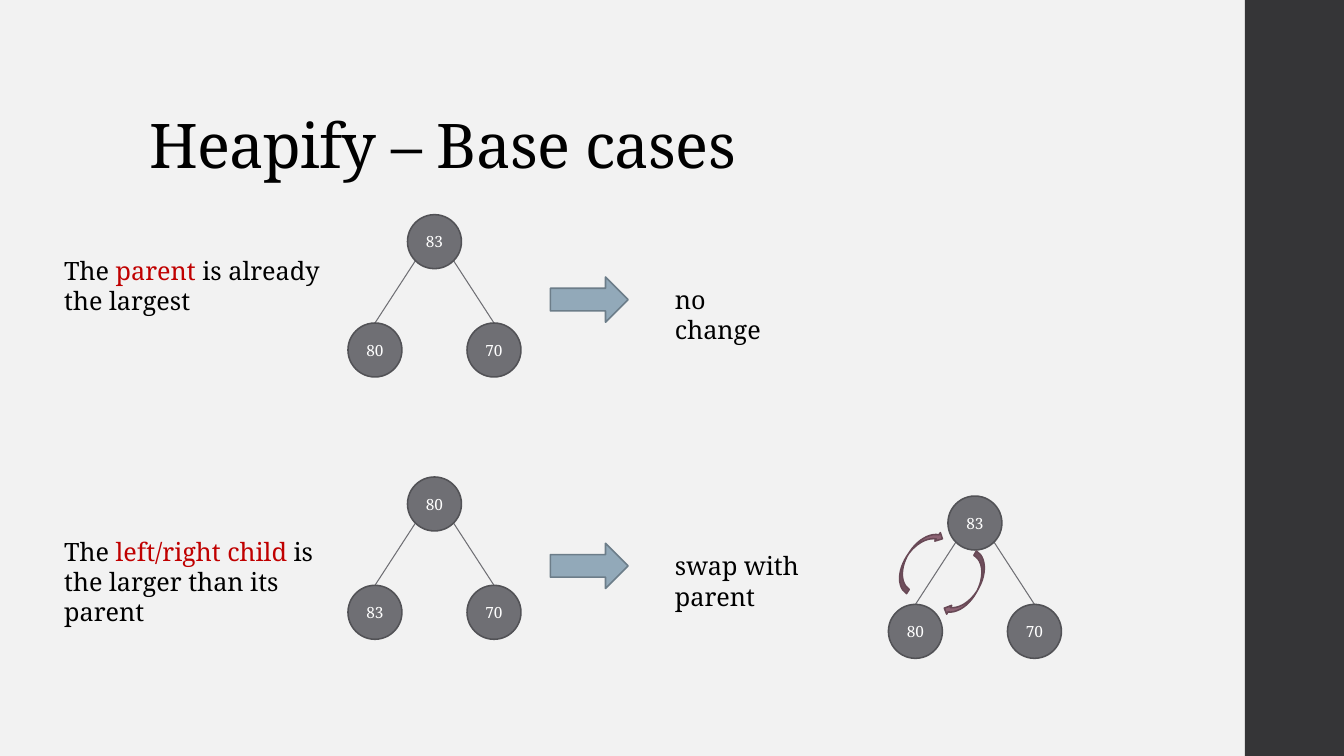
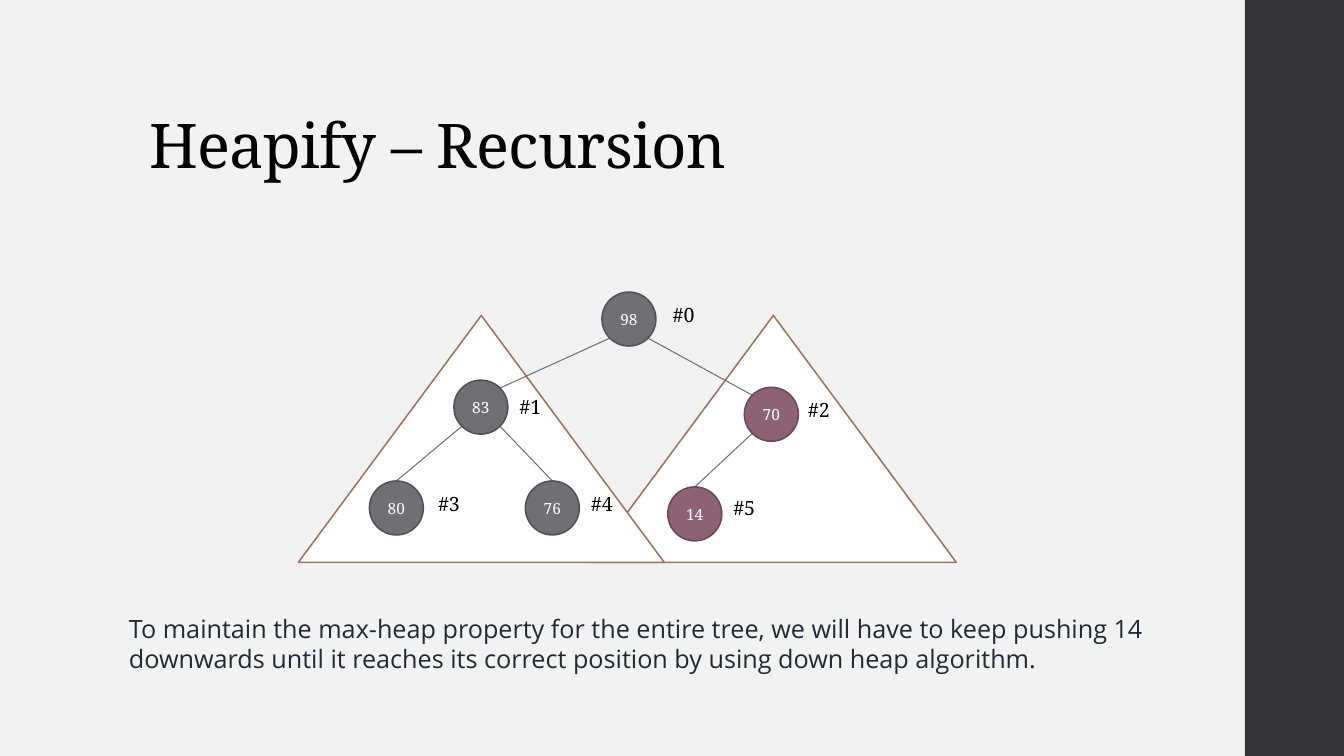
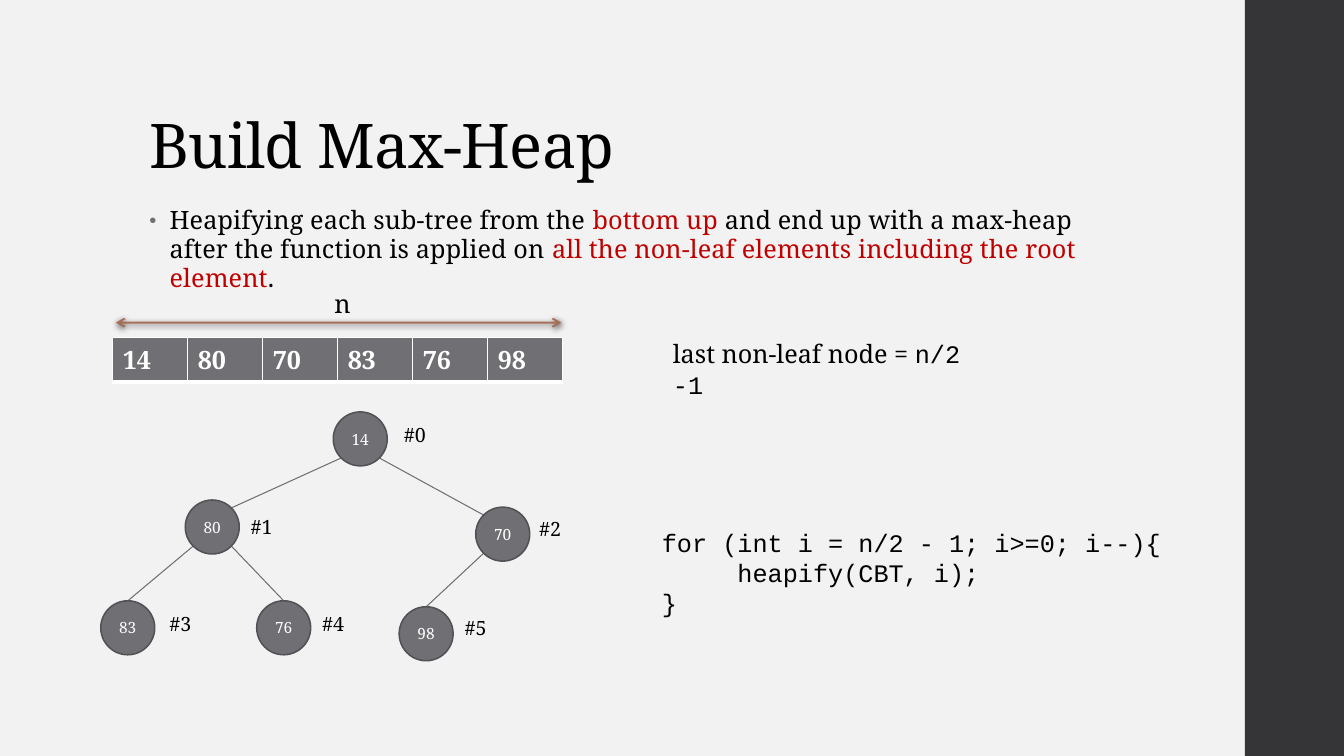
from math import sqrt

from lxml import etree
from pptx import Presentation
from pptx.dml.color import RGBColor
from pptx.enum import shapes, text
from pptx.oxml import ns
from pptx.util import Cm, Pt

PAPER = RGBColor(0xF2, 0xF2, 0xF2)
BAND = RGBColor(0x35, 0x35, 0x37)
BLACK = RGBColor(0, 0, 0)
WHITE = RGBColor(0xFF, 0xFF, 0xFF)
RED = RGBColor(0xC0, 0, 0)
INK = RGBColor(0x25, 0x28, 0x30)
GREY = RGBColor(0x6F, 0x6F, 0x74)
GREY_EDGE = RGBColor(0x52, 0x52, 0x56)
PLUM = RGBColor(0x8D, 0x63, 0x74)
PLUM_EDGE = RGBColor(0x68, 0x49, 0x56)
BLUE = RGBColor(0x92, 0xA9, 0xB9)
BLUE_EDGE = RGBColor(0x6C, 0x7D, 0x89)
BROWN = RGBColor(0x9B, 0x73, 0x62)
RUST = RGBColor(0xA6, 0x6B, 0x52)

SERIF, SANS, MONO = "Noto Serif", "Open Sans", "Courier New"
PRESET = shapes.MSO_SHAPE

NODE = 1.36  # node diameter, cm
DIAGONAL = NODE / 2 / sqrt(2)

# Node centres relative to the root, in heap order
SMALL_TREE = [(0, 0), (-1.5, 2.73), (1.5, 2.73)]
BIG_TREE = [(0, 0), (-3.73, 2.22), (3.59, 2.4),
            (-5.86, 4.76), (-1.93, 4.76), (1.66, 4.91)]
# Index labels relative to their node centres
INDEX_OFFSETS = [(0.85, -0.52), (0.72, -0.44), (0.67, -0.55),
                 (0.8, -0.52), (0.72, -0.52), (0.72, -0.57)]


def add_xml(parent, markup):
    """Append a DrawingML fragment to an element."""
    wrapper = etree.fromstring(
        f'<a:wrapper xmlns:a="{ns.nsuri("a")}">{markup}</a:wrapper>')
    parent.append(wrapper[0])


def place(shape, left, top, width, height):
    """Move and size a shape, in centimetres."""
    shape.left, shape.top = Cm(left), Cm(top)
    shape.width, shape.height = Cm(width), Cm(height)


def write(paragraph, runs, size=18, font=SERIF, color=BLACK, spacing=None):
    """Add runs, each a string or a (string, overrides) pair."""
    for item in runs:
        wording, own = (item, {}) if isinstance(item, str) else item
        run = paragraph.add_run()
        run.text = wording
        run.font.size = Pt(size)
        run.font.name = own.get("font", font)
        run.font.color.rgb = own.get("color", color)
        if spacing is not None:
            run._r.get_or_add_rPr().set("spc", str(spacing))


def red(wording):
    """Return a highlighted run."""
    return wording, {"color": RED}


def add_text(canvas, left, top, width, height, lines, wrap=True, **style):
    """Add a text box with one paragraph per list of runs."""
    box = canvas.add_textbox(Cm(left), Cm(top), Cm(width), Cm(height))
    frame = box.text_frame
    frame.word_wrap = wrap
    for number, runs in enumerate(lines):
        paragraph = frame.add_paragraph() if number else frame.paragraphs[0]
        write(paragraph, runs, **style)
    return frame


def add_figure(canvas, preset, left, top, width, height, fill, edge=None):
    """Add a flat preset shape."""
    figure = canvas.add_shape(preset, Cm(left), Cm(top), Cm(width), Cm(height))
    figure.shadow.inherit = False
    figure.fill.solid()
    figure.fill.fore_color.rgb = fill
    if edge is None:
        figure.line.fill.background()
    else:
        figure.line.color.rgb = edge
        figure.line.width = Pt(1.1)
    return figure


def add_line(canvas, start, end, color=GREY, width=0.75):
    """Add a straight connector between two points."""
    line = canvas.add_connector(shapes.MSO_CONNECTOR.STRAIGHT,
                                *(Cm(length) for length in (*start, *end)))
    line.line.color.rgb = color
    line.line.width = Pt(width)
    add_xml(line.element.spPr, "<a:effectLst/>")
    return line


def add_node(canvas, x, y, key, fill, edge):
    """Add a tree node centred on a point."""
    node = add_figure(canvas, PRESET.OVAL, x - NODE / 2, y - NODE / 2,
                      NODE, NODE, fill, edge)
    frame = node.text_frame
    frame.margin_left = frame.margin_right = 0
    frame.word_wrap = False
    frame.vertical_anchor = text.MSO_ANCHOR.MIDDLE
    frame.paragraphs[0].alignment = text.PP_ALIGN.CENTER
    write(frame.paragraphs[0], [key], size=11, color=WHITE)


def add_tree(slide, root, layout, keys, marked=(), indexed=False):
    """Draw a heap; edges meet leaves on top and inner nodes diagonally."""
    canvas = slide.shapes.add_group_shape().shapes
    centres = [(root[0] + dx, root[1] + dy) for dx, dy in layout]
    for child in range(1, len(keys)):
        px, py = centres[(child - 1) // 2]
        x, y = centres[child]
        side = -1 if child % 2 else 1
        is_leaf = 2 * child + 1 >= len(keys)
        end = ((x, y - NODE / 2) if is_leaf
               else (x - side * DIAGONAL, y - DIAGONAL))
        add_line(canvas, (px + side * DIAGONAL, py + DIAGONAL), end)
    for index, ((x, y), key) in enumerate(zip(centres, keys)):
        colors = (PLUM, PLUM_EDGE) if index in marked else (GREY, GREY_EDGE)
        add_node(canvas, x, y, key, *colors)
        if indexed:
            dx, dy = INDEX_OFFSETS[index]
            add_text(canvas, x + dx, y + dy, 1.07, 0.86, [[f"#{index}"]],
                     wrap=False, size=14)


def add_array(slide, left, top, keys):
    """Add the one-row array table."""
    cell_width, height = 1.89, 1.04
    table = slide.shapes.add_table(1, len(keys), Cm(left), Cm(top),
                                   Cm(cell_width * len(keys)), Cm(height)).table
    for column, key in enumerate(keys):
        table.columns[column].width = Cm(cell_width)
        cell = table.cell(0, column)
        write(cell.text_frame.paragraphs[0], [key], color=WHITE)
        cell.text_frame.paragraphs[0].runs[0].font.bold = True
        properties = cell._tc.get_or_add_tcPr()
        for side, points in (("L", 1), ("R", 1), ("T", 1), ("B", 3)):
            add_xml(properties, f'<a:ln{side} w="{Pt(points)}"><a:solidFill>'
                    f'<a:srgbClr val="{WHITE}"/></a:solidFill></a:ln{side}>')
        cell.fill.solid()
        cell.fill.fore_color.rgb = GREY


def add_span_arrow(slide, left, right, y):
    """Add the shadowed double-headed arrow that spans the array."""
    span = add_line(slide.shapes, (left, y), (right, y), RUST, 1.35)
    outline = span.element.spPr.find(ns.qn("a:ln"))
    add_xml(outline.find(".//" + ns.qn("a:srgbClr")), '<a:alpha val="95000"/>')
    for end in ("head", "tail"):
        add_xml(outline, f'<a:{end}End type="arrow"/>')
    add_xml(span.element.spPr.find(ns.qn("a:effectLst")),
            f'<a:outerShdw blurRad="{Pt(4)}" dist="{Pt(1.2)}" dir="5400000">'
            '<a:srgbClr val="000000"><a:alpha val="75000"/></a:srgbClr>'
            '</a:outerShdw>')


def add_slide(deck, layout, heading):
    """Add a slide with its formatted title."""
    slide = deck.slides.add_slide(deck.slide_layouts[layout])
    title = slide.shapes.title
    place(title, 3.51, 1.02, 26.92, 3.68)
    frame = title.text_frame
    frame.auto_size = text.MSO_AUTO_SIZE.NONE
    frame.vertical_anchor = text.MSO_ANCHOR.BOTTOM
    paragraph = frame.paragraphs[0]
    paragraph.alignment = text.PP_ALIGN.LEFT
    paragraph.line_spacing = 0.9
    write(paragraph, [heading], size=44, spacing=-50)
    return slide


def style_master(deck, slide):
    """Give the master its background and its side band."""
    master = deck.slide_master
    master.background.fill.solid()
    master.background.fill.fore_color.rgb = PAPER
    band = add_figure(slide.shapes, PRESET.RECTANGLE, 31.37, 0, 2.5, 19.05, BAND)
    band.element.nvSpPr.cNvPr.set("id", "20")
    master.shapes.element.insert(2, band.element)


def build_base_cases(deck):
    """Show the two base cases of heapify."""
    slide = add_slide(deck, 5, "Heapify – Base cases")
    canvas = slide.shapes
    for root, keys in (((10.95, 6.09), ("83", "80", "70")),
                       ((10.95, 12.7), ("80", "83", "70")),
                       ((24.57, 13.18), ("83", "80", "70"))):
        add_tree(slide, root, SMALL_TREE, keys)
    add_text(canvas, 1.37, 6.3, 7.06, 1.8,
             [["The ", red("parent"), " is already"], ["the largest"]])
    add_text(canvas, 1.37, 13.39, 7.06, 2.57,
             [["The ", red("left/right child "), "is"],
              ["the larger than its"], ["parent"]])
    for top, width, outcome in ((6.98, 3.48, "no change"),
                                (13.69, 5.7, "swap with parent")):
        add_figure(canvas, PRESET.RIGHT_ARROW, 13.87, top, 1.96, 1.14,
                   BLUE, BLUE_EDGE)
        add_text(canvas, 16.76, top + 0.06, width, 1.02, [[outcome]])
    for left, top, angle in ((22.23, 13.82, 303.2), (23.5, 14.53, 119.3)):
        swap = add_figure(canvas, PRESET.CURVED_DOWN_ARROW, left, top,
                          1.78, 0.51, PLUM, PLUM_EDGE)
        swap.rotation = angle
    return slide


def build_recursion(deck):
    """Show the subtrees that heapify visits."""
    slide = add_slide(deck, 5, "Heapify – Recursion")
    for subtree_left in (14.88, 7.52):
        add_figure(slide.shapes, PRESET.ISOSCELES_TRIANGLE, subtree_left, 7.95,
                   9.22, 6.22, WHITE, BROWN)
    add_tree(slide, (15.85, 8.04), BIG_TREE,
             ("98", "83", "70", "80", "76", "14"), marked=(2, 5), indexed=True)
    add_text(slide.shapes, 3, 15.32, 27.23, 1.8,
             [["To maintain the max-heap property for the entire tree, we will "
               "have to keep pushing 14 downwards until it reaches its correct "
               "position by using down heap algorithm."]],
             font=SANS, color=INK)


def build_max_heap(deck):
    """Show how an array becomes a max-heap."""
    slide = add_slide(deck, 1, "Build Max-Heap")
    canvas = slide.shapes
    body = slide.placeholders[1]
    place(body, 3.51, 5.08, 23.88, 12.09)
    body.text_frame.auto_size = text.MSO_AUTO_SIZE.NONE
    summary = body.text_frame.paragraphs[0]
    summary.line_spacing = 0.95
    summary.space_before, summary.space_after = Pt(14), Pt(2)
    properties = summary._p.get_or_add_pPr()
    properties.set("marL", str(Cm(0.51)))
    properties.set("indent", str(Cm(-0.51)))
    for markup in (f'<a:buClr><a:srgbClr val="{GREY}"/></a:buClr>',
                   '<a:buSzPct val="80000"/>', '<a:buChar char="•"/>'):
        add_xml(properties, markup)
    write(summary, ["Heapifying each sub-tree from the ", red("bottom up "),
                    "and end up with a max-heap after the function is applied on ",
                    red("all the non-leaf elements including the root element"),
                    "."], spacing=10)

    keys = ("14", "80", "70", "83", "76", "98")
    add_array(slide, 2.84, 8.51, keys)
    add_tree(slide, (9.08, 11.06), BIG_TREE, keys, indexed=True)
    add_span_arrow(slide, 2.92, 14.15, 8.13)
    add_text(canvas, 8.18, 7.14, 0.91, 1.02, [["n"]])
    add_text(canvas, 16.71, 8.41, 8.81, 1.02,
             [["last non-leaf node = ", ("n/2 -1", {"font": MONO})]])
    loop = add_text(canvas, 16.43, 13.16, 14.58, 2.57,
                    [["for (int i = n/2 - 1; i>=0; i--){"],
                     ["heapify(CBT, i);"], ["}"]], font=MONO)
    loop.paragraphs[1]._p.get_or_add_pPr().set("marL", str(Pt(54)))


def main():
    """Build and save the deck."""
    deck = Presentation()
    deck.slide_width, deck.slide_height = Cm(33.87), Cm(19.05)
    first = build_base_cases(deck)
    style_master(deck, first)
    build_recursion(deck)
    build_max_heap(deck)
    deck.save("out.pptx")


main()
